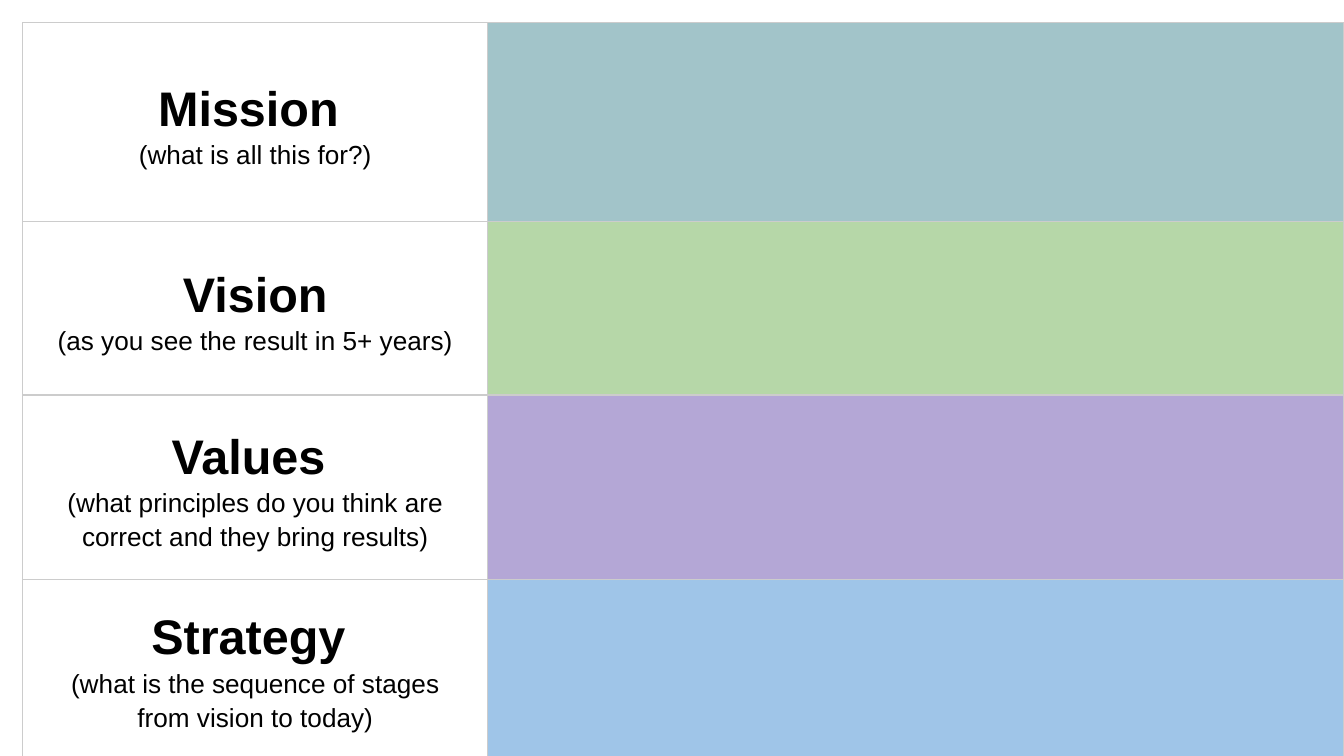
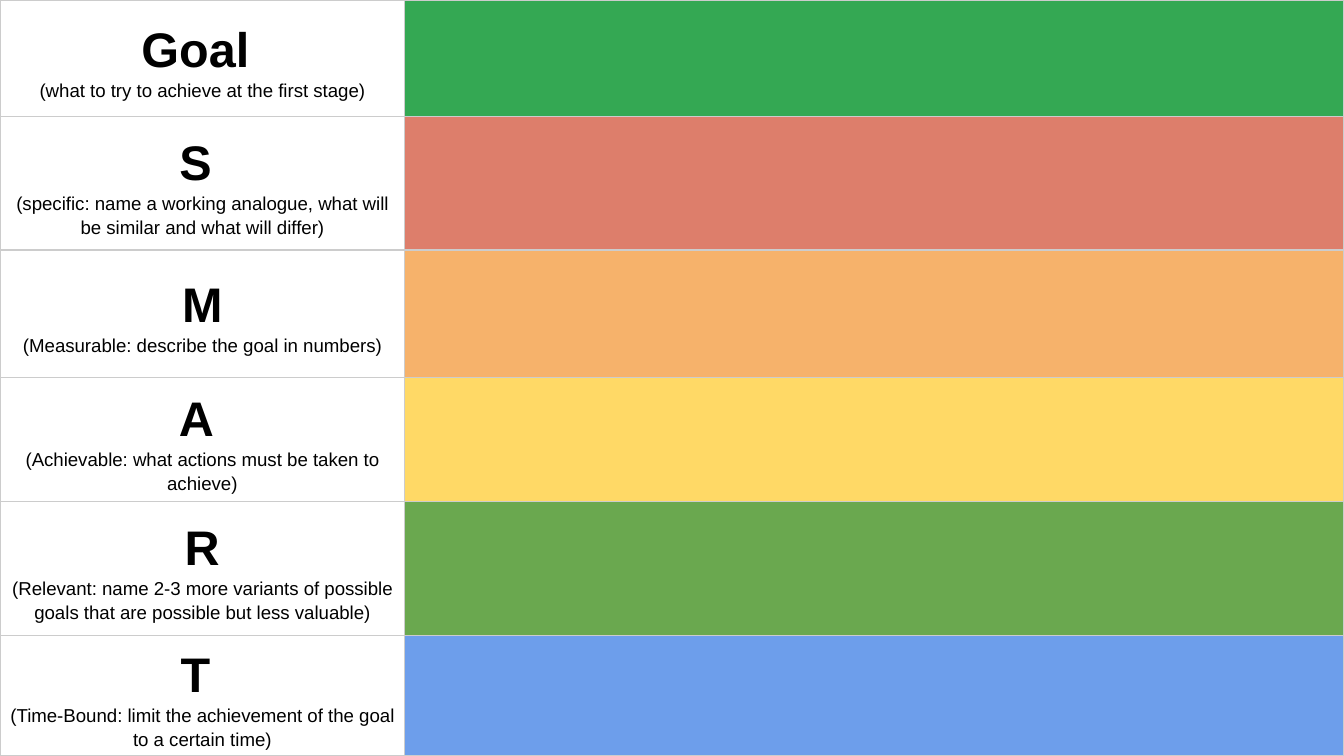
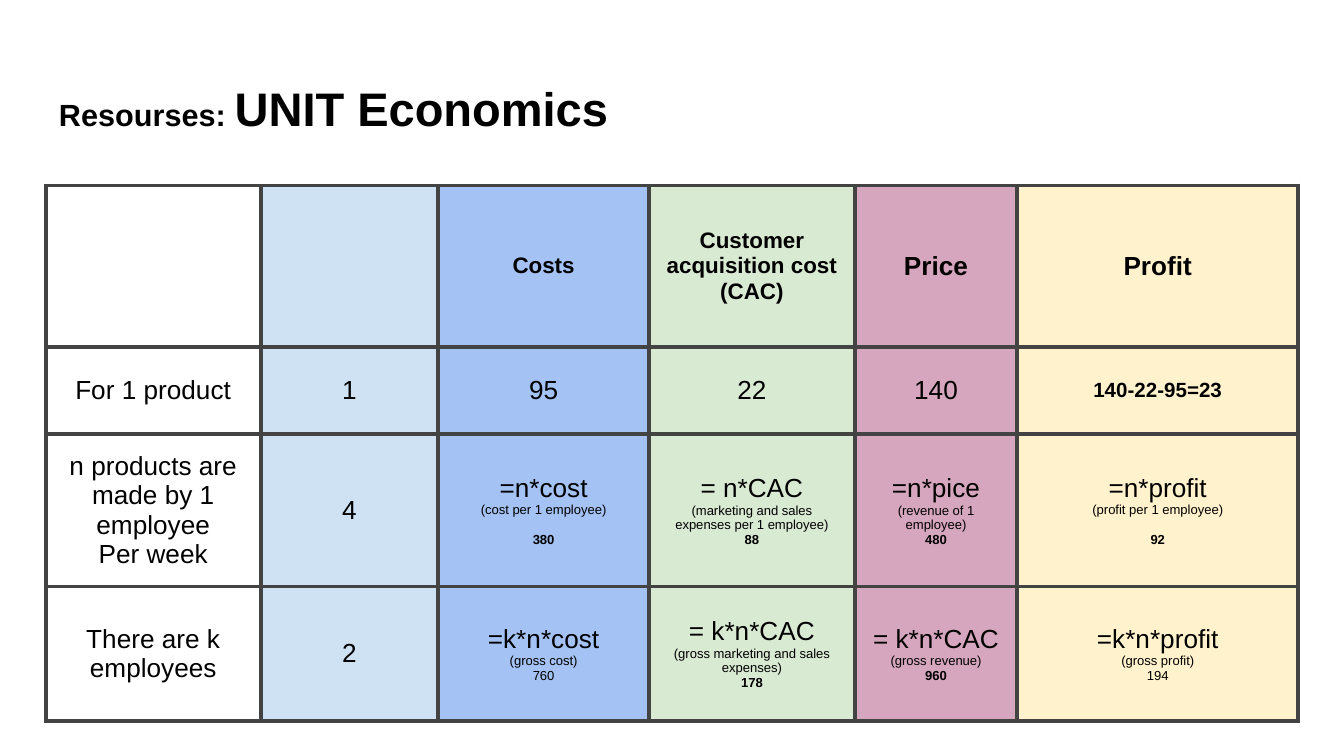
from lxml import etree
from pptx import Presentation
from pptx.dml.color import RGBColor
from pptx.enum.text import MSO_ANCHOR, PP_ALIGN
from pptx.oxml.ns import qn
from pptx.util import Inches, Pt

CENTER = PP_ALIGN.CENTER
MIDDLE = MSO_ANCHOR.MIDDLE
UNIT = 0.1  # inches in one grid step; the slide is 100 by 56.25 steps
WIDE, HIGH = 100, 56.25
FONT = "Arial"
COLORS = {
    "ink": "000000", "rule": "CCCCCC", "frame": "434343",
    "teal": "A2C4C9", "lime": "B6D7A8", "lilac": "B4A7D6", "azure": "9FC5E8",
    "green": "34A853", "red": "DD7E6B", "orange": "F6B26B",
    "yellow": "FFD966", "leaf": "6AA84F", "blue": "6D9EEB",
    "ice": "CFE2F3", "sky": "A4C2F4", "mint": "D9EAD3",
    "rose": "D5A6BD", "cream": "FFF2CC",
}


def grid(steps):
    return Inches(steps * UNIT)


def line(text, size=14, bold=False, gap=0):
    """Describe one paragraph; gap is the space before it in points."""
    return text, size, bold, gap


class Deck:
    def __init__(self):
        self.prs = Presentation()
        self.prs.slide_width, self.prs.slide_height = grid(WIDE), grid(HIGH)
        self.slide = None

    def page(self):
        self.slide = self.prs.slides.add_slide(self.prs.slide_layouts[6])

    def style(self, font, size, bold):
        font.name, font.size, font.bold = FONT, Pt(size), bold
        font.color.rgb = RGBColor.from_string(COLORS["ink"])

    def text(self, frame, lines, space):
        for i, (words, size, bold, gap) in enumerate(lines):
            para = frame.add_paragraph() if i else frame.paragraphs[0]
            para.text = words.replace("\n", "\v")
            para.alignment, para.line_spacing = CENTER, space
            para.space_before = Pt(gap)
            self.style(para.font, size, bold)

    def title(self, left, top, width, height, label, name):
        box = self.slide.shapes.add_textbox(*map(grid, (left, top, width, height)))
        frame = box.text_frame
        frame.word_wrap = True
        frame.margin_left = frame.margin_right = grid(1)
        frame.margin_top = frame.margin_bottom = grid(1)
        para = frame.paragraphs[0]
        self.style(para.font, 25.2, True)
        lead = para.add_run()
        lead.text, lead.font.size = label, Pt(16.4)
        para.add_run().text = name

    def border(self, cell, color, width):
        props = cell._tc.get_or_add_tcPr()
        for side in ("lnL", "lnR", "lnT", "lnB"):
            edge = etree.SubElement(props, qn("a:" + side), w=str(Pt(width)))
            fill = etree.SubElement(edge, qn("a:solidFill"))
            etree.SubElement(fill, qn("a:srgbClr"), val=COLORS[color])

    def table(self, left, top, cols, rows, cells, edge, pad, space=1.0):
        """Draw a table; each cell is a pair of its lines and its fill name."""
        shape = self.slide.shapes.add_table(
            len(rows), len(cols), grid(left), grid(top), grid(sum(cols)), grid(sum(rows)))
        table = shape.table
        table.first_row = table.horz_banding = False
        for col, width in zip(table.columns, cols):
            col.width = grid(width)
        for row, height, items in zip(table.rows, rows, cells):
            row.height = grid(height)
            for cell, (lines, fill) in zip(row.cells, items):
                cell.margin_left = cell.margin_right = grid(pad[0])
                cell.margin_top = cell.margin_bottom = grid(pad[1])
                cell.vertical_anchor = MIDDLE
                self.border(cell, *edge)
                if fill:
                    cell.fill.solid()
                    cell.fill.fore_color.rgb = RGBColor.from_string(COLORS[fill])
                else:
                    cell.fill.background()
                self.text(cell.text_frame, lines, space)

    def form(self, left, top, cols, rows, items, size):
        """Draw a page of headed prompts, each beside a coloured blank field."""
        self.page()
        cells = [
            [([line(head, 26, True)] + [line(note, size) for note in notes], None),
             ([], fill)]
            for head, fill, *notes in items
        ]
        self.table(left, top, cols, rows, cells, ("rule", 0.75), (0.3, 0.2), 1.15)


def unit(formula, note, total, bold=True, gap=0):
    return [line(formula), line(note, 7), line(total, 7, bold, gap)]


def main():
    deck = Deck()
    deck.form(1.7, 1.7, (34.6, 63.7), (14.8, 12.9, 13.7, 13.2), [
        ("Mission ", "teal", "(what is all this for?)"),
        ("Vision", "lime", "(as you see the result in 5+ years)"),
        ("Values ", "lilac",
         "(what principles do you think are correct and they bring results)"),
        ("Strategy ", "azure", "(what is the sequence of stages", "from vision to today)"),
    ], 14)

    deck.form(0, 0, (30.1, 69.9), (8.7, 9.9, 9.5, 9.2, 10, 8.9), [
        ("Goal ", "green", "(what to try to achieve at the first stage)"),
        ("S ", "red",
         "(specific: name a working analogue, what will be similar and what will differ)"),
        ("M", "orange", "(Measurable: describe the goal in numbers)"),
        ("A ", "yellow", "(Achievable: what actions must be taken to achieve)"),
        ("R", "leaf",
         "(Relevant: name 2-3 more variants of possible goals that are possible"
         " but less valuable)"),
        ("T ", "blue", "(Time-Bound: limit the achievement of the goal to a certain time)"),
    ], 10)

    deck.page()
    deck.title(3.4, 4.9, 93.2, 6.3, "Resourses: ", "UNIT Economics")
    fills = (None, "ice", "sky", "mint", "rose", "cream")
    heads = [[], [], [line("Costs", 12, True)],
             [line("Customer acquisition cost (CAC)", 12, True)],
             [line("Price", 14, True)], [line("Profit", 14, True)]]
    single = [[line(text)] for text in ("For 1 product", "1", "95", "22", "140")]
    single.append([line("140-22-95=23", 11, True)])
    weekly = [
        [line("n products are made by 1 employee\nPer week")],
        [line("4")],
        unit("=n*cost", "(cost per 1 employee)", "380", gap=8),
        unit("= n*CAC", "(marketing and sales expenses per 1 employee)", "88"),
        unit("=n*pice", "(revenue of 1 employee)", "480"),
        unit("=n*profit", "(profit per 1 employee)", "92", gap=8),
    ]
    gross = [
        [line("There are k employees")],
        [line("2")],
        unit("=k*n*cost", "(gross cost)", "760", False),
        unit("= k*n*CAC", "(gross marketing and sales expenses)", "178"),
        unit("= k*n*CAC", "(gross revenue)", "960"),
        unit("=k*n*profit", "(gross profit)", "194", False),
    ]
    cells = [list(zip(row, fills)) for row in (heads, single, weekly, gross)]
    deck.table(3.4, 13.8, (16, 13.2, 15.7, 15.3, 12.1, 20.9), (12, 6.5, 10, 10),
               cells, ("frame", 2.25), (1, 1))
    deck.prs.save("out.pptx")


if __name__ == "__main__":
    main()
